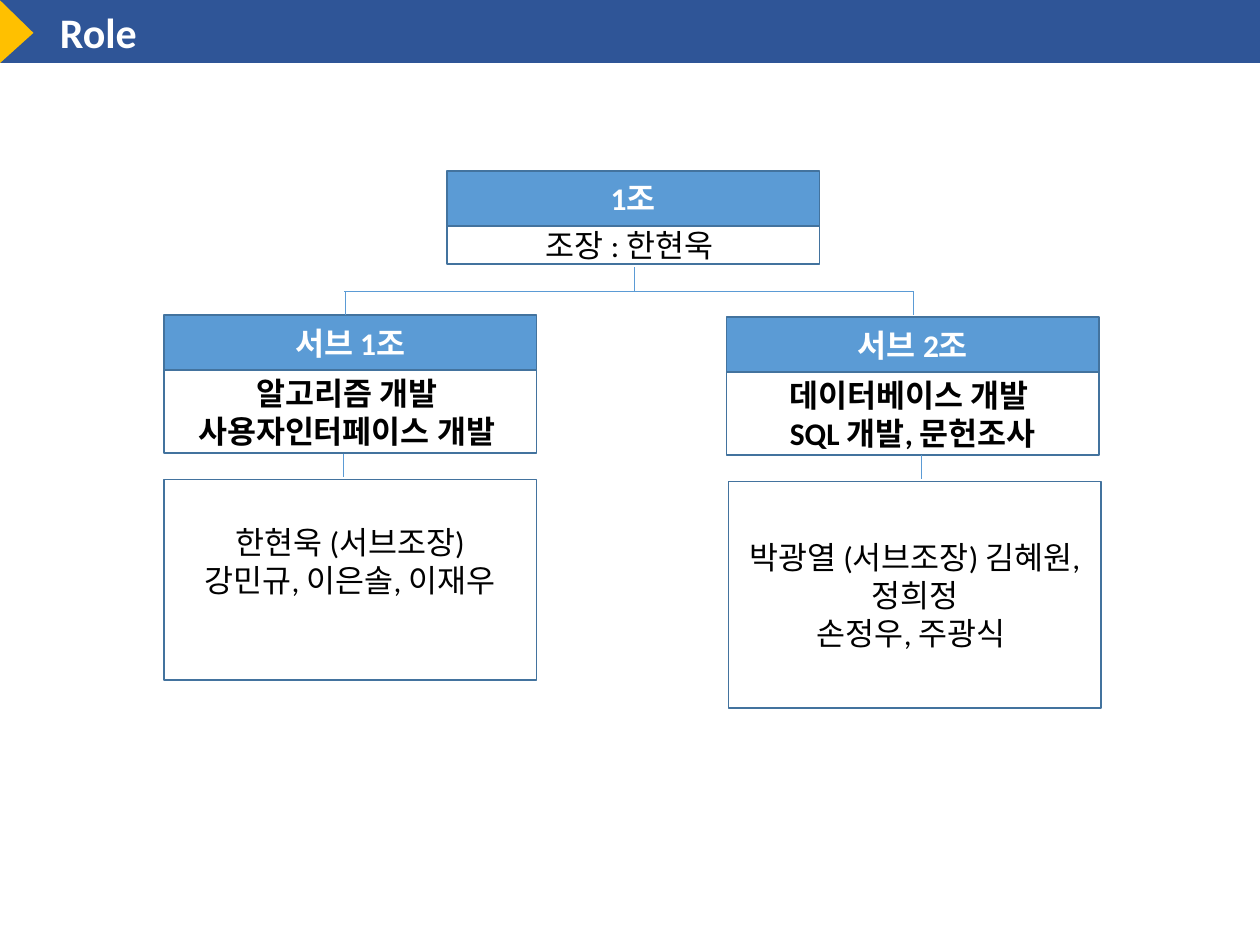
from dataclasses import dataclass

from lxml import etree
from pptx import Presentation
from pptx.dml.color import RGBColor
from pptx.enum.shapes import MSO_CONNECTOR, MSO_SHAPE
from pptx.enum.text import MSO_ANCHOR, PP_ALIGN
from pptx.oxml.ns import qn
from pptx.util import Pt

RECTANGLE = MSO_SHAPE.RECTANGLE
TRIANGLE = MSO_SHAPE.ISOSCELES_TRIANGLE
STRAIGHT = MSO_CONNECTOR.STRAIGHT
CENTER, LEFT = PP_ALIGN.CENTER, PP_ALIGN.LEFT
MIDDLE, TOP = MSO_ANCHOR.MIDDLE, MSO_ANCHOR.TOP


@dataclass(frozen=True)
class Theme:
    """Colours, font and type sizes of the slide."""
    banner: str = "2F5597"
    marker: str = "FFC000"
    heading: str = "5B9BD5"
    border: str = "43739E"
    branch: str = "5B9BD5"
    light: str = "FFFFFF"
    dark: str = "000000"
    font: str = "Calibri"
    title_size: float = 24
    body_size: float = 18
    border_width: float = 1
    branch_width: float = 0.5


THEME = Theme()
BOX_WIDTH = 213
HEADING_HEIGHT = 31.5
DUTY_HEIGHT = 47.5


def add_block(slide, kind, left, top, width, height, fill=None, border=None):
    """Add a shadowless shape with an optional fill and border."""
    block = slide.shapes.add_shape(kind, Pt(left), Pt(top), Pt(width), Pt(height))
    block.shadow.inherit = False
    if fill:
        block.fill.solid()
        block.fill.fore_color.rgb = RGBColor.from_string(fill)
    else:
        block.fill.background()
    if border:
        block.line.color.rgb = RGBColor.from_string(border)
        block.line.width = Pt(THEME.border_width)
    else:
        block.line.fill.background()
    return block


def write_lines(block, lines, size, color, bold, align=CENTER, anchor=MIDDLE):
    """Write one paragraph per line into a block."""
    frame = block.text_frame
    frame.word_wrap = True
    frame.vertical_anchor = anchor
    for index, line in enumerate(lines):
        paragraph = frame.add_paragraph() if index else frame.paragraphs[0]
        paragraph.alignment = align
        run = paragraph.add_run()
        run.text = line
        run.font.name = THEME.font
        run.font.size = Pt(size)
        run.font.bold = bold
        run.font.color.rgb = RGBColor.from_string(color)


def add_banner(slide, title):
    """Add the title band with its arrow marker."""
    band = add_block(slide, RECTANGLE, 0, 0, 720, 36, THEME.banner)
    write_lines(band, [title], THEME.title_size, THEME.light, True, LEFT, TOP)
    band.text_frame.margin_left = Pt(34.3)
    marker = add_block(slide, TRIANGLE, -8.5, 8.5, 36, 19.2, THEME.marker)
    marker.adjustments[0] = 0.52
    marker.rotation = 90


def add_heading(slide, left, top, text):
    """Add a filled team heading."""
    heading = add_block(slide, RECTANGLE, left, top, BOX_WIDTH, HEADING_HEIGHT,
                        THEME.heading, THEME.border)
    write_lines(heading, [text], THEME.body_size, THEME.light, True)


def add_detail(slide, left, top, height, lines, bold=False):
    """Add an outlined box of team details."""
    detail = add_block(slide, RECTANGLE, left, top, BOX_WIDTH, height,
                       border=THEME.border)
    write_lines(detail, lines, THEME.body_size, THEME.dark, bold)
    return detail


def add_branch(slide, x1, y1, x2, y2):
    """Add a thin line of the chart."""
    branch = slide.shapes.add_connector(STRAIGHT, Pt(x1), Pt(y1), Pt(x2), Pt(y2))
    branch.line.color.rgb = RGBColor.from_string(THEME.branch)
    branch.line.width = Pt(THEME.branch_width)
    etree.SubElement(branch._element.spPr, qn("a:effectLst"))


def add_subteam(slide, left, top, name, duties, members_left, members_height, members):
    """Add a subteam's heading, duties and members, and return the members box."""
    add_heading(slide, left, top, name)
    add_detail(slide, left, top + HEADING_HEIGHT, DUTY_HEIGHT, duties, bold=True)
    return add_detail(slide, members_left, top + 94, members_height, members)


def main():
    """Build the role chart and save it."""
    deck = Presentation()
    deck.slide_width, deck.slide_height = Pt(720), Pt(540)
    slide = deck.slides.add_slide(deck.slide_layouts[6])

    add_banner(slide, "Role")
    add_heading(slide, 255.3, 97.6, "1조")
    add_detail(slide, 255.3, 129, 22, ["조장 : 한현욱 "])
    first_members = add_subteam(
        slide, 93.6, 180, "서브 1조",
        ["알고리즘 개발 ", "사용자인터페이스 개발 "],
        93.6, 114.6, ["한현욱 (서브조장)", "강민규, 이은솔, 이재우"])
    first_members.text_frame.margin_bottom = Pt(25.3)
    add_subteam(
        slide, 415.2, 181.2, "서브 2조",
        ["데이터베이스 개발 ", "SQL 개발, 문헌조사"],
        416.3, 129.6, ["박광열 (서브조장) 김혜원, 정희정", "손정우, 주광식 "])

    fork = 166.4
    add_branch(slide, 196.8, fork, 522, fork)
    for x, top in ((197.3, fork), (522, fork), (362.6, 152.8),
                   (196.4, 259.2), (526.5, 260)):
        add_branch(slide, x, top, x, top + 13.6)

    deck.save("out.pptx")


if __name__ == "__main__":
    main()
